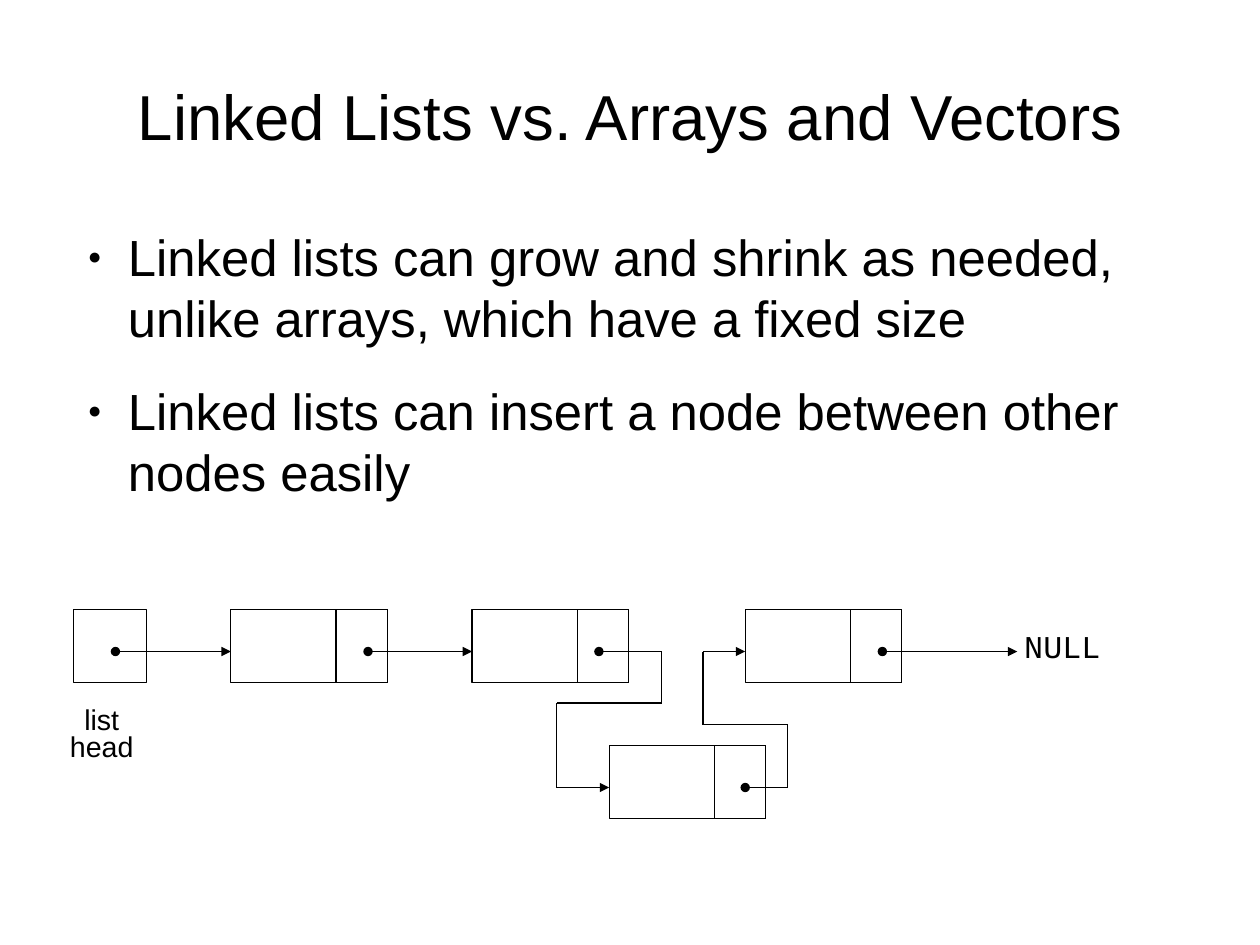
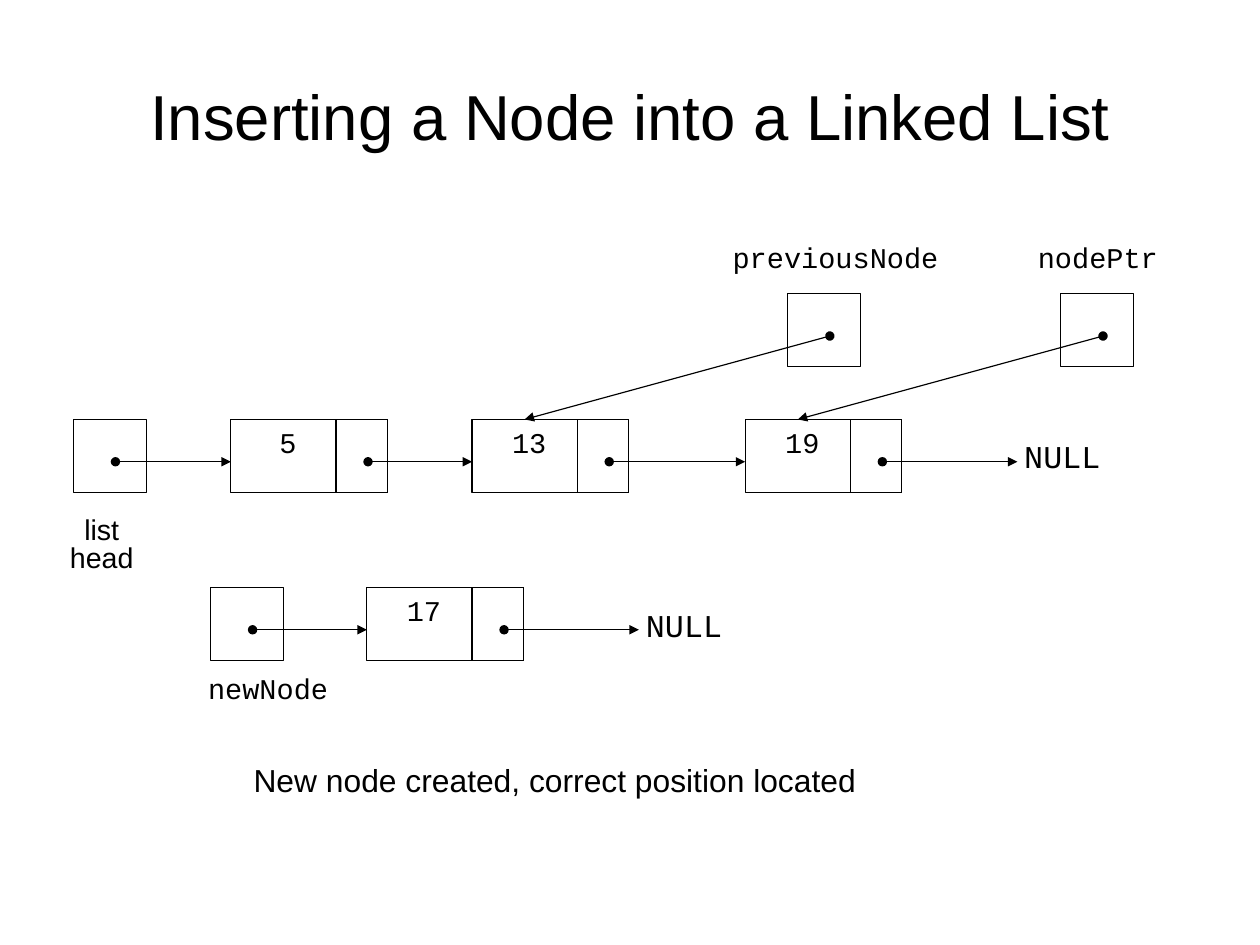
"""Build two slides on linked lists."""
from itertools import pairwise

from lxml import etree
from pptx import Presentation
from pptx.dml.color import RGBColor
from pptx.enum.shapes import MSO_CONNECTOR, MSO_SHAPE
from pptx.enum.text import MSO_ANCHOR, PP_ALIGN
from pptx.oxml.ns import qn
from pptx.util import Cm, Pt

PX = 9144
RECT = MSO_SHAPE.RECTANGLE
STRAIGHT = MSO_CONNECTOR.STRAIGHT
TOP, MIDDLE = MSO_ANCHOR.TOP, MSO_ANCHOR.MIDDLE
LEFT, CENTER = PP_ALIGN.LEFT, PP_ALIGN.CENTER

COLOR = {"ink": "000000"}
INK = RGBColor.from_string(COLOR["ink"])
SANS, MONO = "Arial", "Courier New"
SIDE, WIDE, CELL = 64, 137, 45
MID, OUT = 37, 120
HEAD, NODES = 64, (202, 413, 652)


def emu(*sizes):
    return [size * PX for size in sizes]


def write(slide, area, lines, size, font=SANS, align=CENTER,
          anchor=TOP, wrap=False, space=None, gap=0):
    box = slide.shapes.add_textbox(*emu(*area))
    frame = box.text_frame
    frame.word_wrap = wrap
    frame.vertical_anchor = anchor
    for i, line in enumerate(lines):
        para = frame.add_paragraph() if i else frame.paragraphs[0]
        para.alignment = align
        if space:
            para.line_spacing = space
        if i and gap:
            para.space_before = Pt(gap)
        run = para.add_run()
        run.text = line
        run.font.size = Pt(size)
        run.font.name = font
        run.font.color.rgb = INK
    return frame


def bullet(para):
    props = para._p.get_or_add_pPr()
    props.set("marL", str(47 * PX))
    props.set("indent", str(-35 * PX))
    tint = etree.SubElement(props, qn("a:buClr"))
    etree.SubElement(tint, qn("a:srgbClr"), val=COLOR["ink"])
    etree.SubElement(props, qn("a:buSzPct"), val="45000")
    etree.SubElement(props, qn("a:buFont"), typeface=SANS)
    etree.SubElement(props, qn("a:buChar"), char="●")


def rect(slide, x, y, width=SIDE):
    shape = slide.shapes.add_shape(RECT, *emu(x, y, width, SIDE))
    shape.shadow.inherit = False
    shape.fill.background()
    shape.line.color.rgb = INK
    shape.line.width = Pt(0.75)


def node(slide, x, y, value=None):
    rect(slide, x, y, WIDE)
    rect(slide, x + WIDE - CELL, y, CELL)
    if value:
        write(slide, (x + 25, y, 50, 40), [value], 18, MONO)


def link(slide, *points):
    """Join points by lines, with a dot at the start and an arrow at the end."""
    last = len(points) - 2
    for i, (start, end) in enumerate(pairwise(points)):
        line = slide.shapes.add_connector(STRAIGHT, *emu(*start, *end))
        line.line.color.rgb = INK
        line.line.width = Pt(0.75)
        stroke = line.line._get_or_add_ln()
        if i == 0:
            etree.SubElement(stroke, qn("a:headEnd"), type="oval")
        if i == last:
            etree.SubElement(stroke, qn("a:tailEnd"), type="triangle")
        etree.SubElement(line._element.spPr, qn("a:effectLst"))


def flat(slide, start, end, y):
    link(slide, (start, y + MID), (end, y + MID))


def null(slide, x, y):
    flat(slide, x + OUT, x + 238, y)
    write(slide, (x + 234, y + 4, 87, 50), ["NULL"], 20, MONO, space=1.2)


def chain(slide, y, values=(None, None, None)):
    first, second, third = NODES
    rect(slide, HEAD, y)
    for x, value in zip(NODES, values):
        node(slide, x, y, value)
    flat(slide, HEAD + MID, first, y)
    flat(slide, first + OUT, second, y)
    null(slide, third, y)
    write(slide, (28, y + 82, 122, 58), ["list", "head"], 18, space=0.8)


def label(slide, x, y, width, name):
    write(slide, (x, y, width, 34), [name], 18, MONO, space=0.8)


def start(deck, title):
    slide = deck.slides.add_slide(deck.slide_layouts[6])
    write(slide, (55, 32, 992, 138), [title], 40, anchor=MIDDLE, wrap=True)
    return slide


def compare(deck):
    slide = start(deck, "Linked Lists vs. Arrays and Vectors")
    frame = write(slide, (55, 193, 1001, 340), [
        "Linked lists can grow and shrink as needed, unlike arrays, "
        "which have a fixed size",
        "Linked lists can insert a node between other nodes easily",
    ], 32, align=LEFT, wrap=True, gap=20)
    for para in frame.paragraphs:
        bullet(para)
    chain(slide, 533)
    node(slide, 533, 652)
    high, low = 533 + MID, 652 + MID
    link(slide, (524, high), (579, high), (579, 615), (487, 615),
         (487, low), (533, low))
    link(slide, (652, low), (689, low), (689, 634), (615, 634),
         (615, high), (652, high))


def insert(deck):
    slide = start(deck, "Inserting a Node into a Linked List")
    y, new = 367, 514
    chain(slide, y, ("5", "13", "19"))
    flat(slide, NODES[1] + OUT, NODES[2], y)
    rect(slide, 184, new)
    node(slide, 321, new, "17")
    flat(slide, 184 + MID, 321, new)
    null(slide, 321, new)
    label(slide, 172, 588, 125, "newNode")
    for x, goal, left, width, name in (
        (689, NODES[1], 631, 200, "previousNode"),
        (928, NODES[2], 898, 125, "nodePtr"),
    ):
        rect(slide, x, 257)
        link(slide, (x + MID, 257 + MID), (goal + (WIDE - CELL) // 2, y))
        label(slide, left, 211, width, name)
    write(slide, (212, 661, 594, 44),
          ["New node created, correct position located"], 20, align=LEFT)


def main():
    deck = Presentation()
    deck.slide_width, deck.slide_height = Cm(28), Cm(21)
    compare(deck)
    insert(deck)
    deck.save("out.pptx")


if __name__ == "__main__":
    main()
